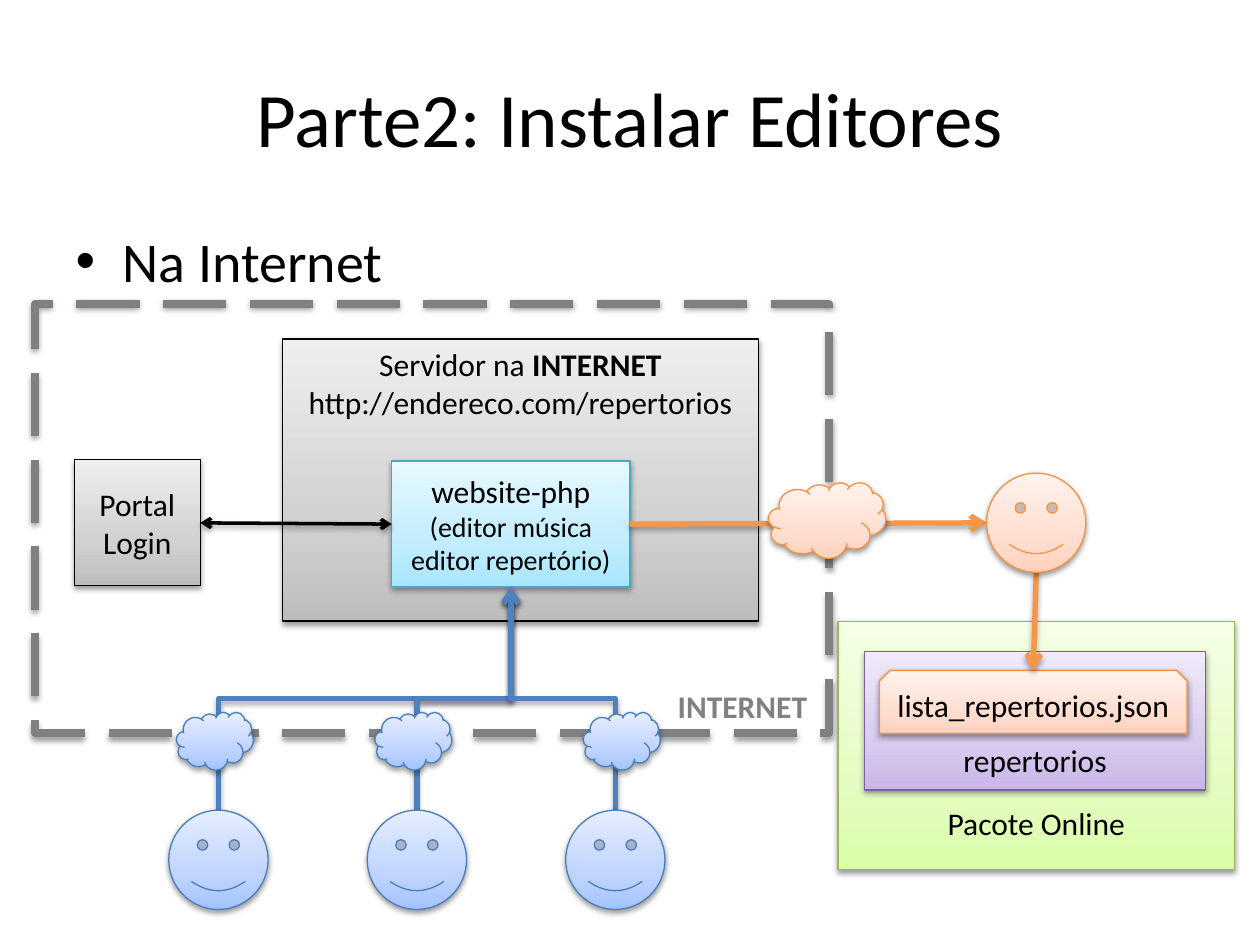
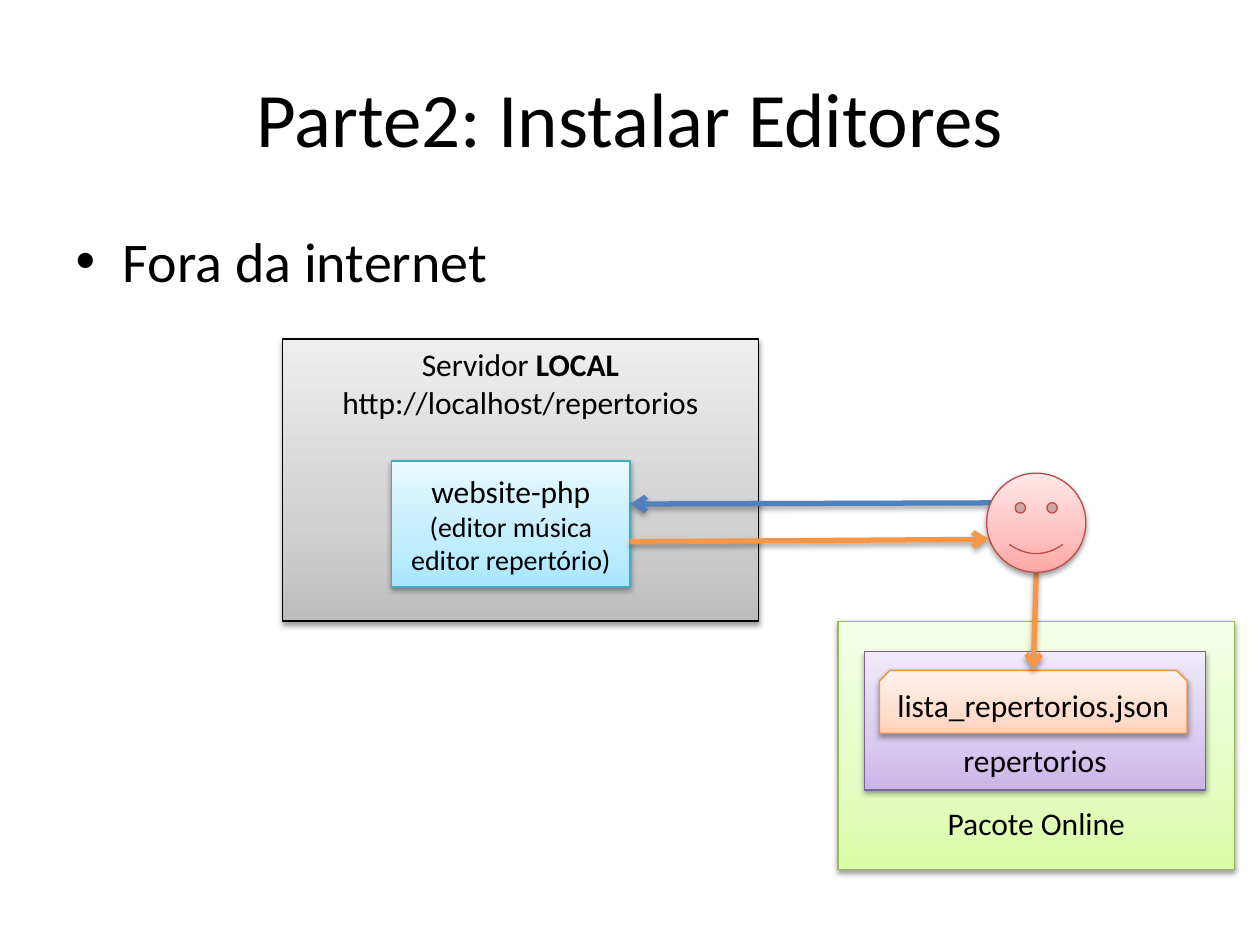
from copy import deepcopy

from pptx import Presentation
from pptx import util as u
from pptx.dml.color import RGBColor
from pptx.enum import dml, shapes, text
from pptx.oxml import ns
from lxml import etree

FONT = "Calibri"
COLORS = {"ink": "000000", "zone": "808080", "publish": "F79646", "edit": "4F81BD"}
PALETTES = {
    "green": ("98B955", "DAFDA7", "E4FCC2", "F5FFE7"),
    "purple": ("7D60A0", "C9B5E8", "D8CBEE", "F0EAF9"),
    "orange": ("F69240", "FFD2BD", "FFDED0", "FFF2ED"),
    "gray": ("000000", "BDBDBD", "D1D1D1", "EEEEEE"),
    "cyan": ("46AAC5", "A7E6FF", "C1EDFF", "E7F8FF"),
    "blue": ("4B7EBC", "A4C4FF", "BFD4FF", "E6EEFF"),
    "red": ("BF4C48", "FFA6A5", "FFC0BF", "FFE7E7"),
}
KIND = shapes.MSO_SHAPE
LINK = shapes.MSO_CONNECTOR
ANCHOR = text.MSO_ANCHOR
FACE = 56.7
TITLE_BOX = (36, 21.6, 648, 90)
TOPIC_BOX = (36, 126, 648, 356.4)
SERVER_BOX = (161.3, 193.7, 272.2, 161.3)
PACKAGE_BOX = (478.8, 355, 226.8, 141.8)
READER_BOX = (563.8, 270.4, FACE, FACE)
ZONE_BOX = (20.2, 173.5, 453.6, 245.5)
LOGIN_BOX = (42.5, 262.8, 72, 72)
USERS_BOX = (96.5, 463, 283.5, FACE)


def points(values):
    """Turn plain numbers into lengths in points."""
    return [u.Pt(value) for value in values]


def rgb(hex_color):
    """Read a hex string as a colour."""
    return RGBColor.from_string(hex_color)


def style_run(run, size, color="ink", bold=False):
    """Apply the shared font to one run."""
    run.font.name = FONT
    run.font.size = u.Pt(size)
    run.font.bold = bold
    run.font.color.rgb = rgb(COLORS[color])


def cast_shadow(part, alpha=38, distance=20000):
    """Give a shape or connector a soft shadow straight below it."""
    props = part._element.spPr
    effects = props.find(ns.qn("a:effectLst"))
    if effects is None:
        effects = etree.SubElement(props, ns.qn("a:effectLst"))
    shadow = etree.SubElement(effects, ns.qn("a:outerShdw"), blurRad="40000",
                              dist=str(distance), dir="5400000", rotWithShape="0")
    color = etree.SubElement(shadow, ns.qn("a:srgbClr"), val=COLORS["ink"])
    etree.SubElement(color, ns.qn("a:alpha"), val=str(alpha * 1000))


def add_block(slide, kind, box, palette):
    """Draw a shape with a three-stop gradient, thin outline and shadow."""
    outline, *tints = PALETTES[palette]
    block = slide.shapes.add_shape(kind, *points(box))
    block.fill.gradient()
    block.fill.gradient_angle = 90
    stops = block._element.spPr.find(".//" + ns.qn("a:gsLst"))
    stops.insert(1, deepcopy(stops[0]))
    for stop, position, tint in zip(block.fill.gradient_stops, (0, 0.35, 1), tints):
        stop.position = position
        stop.color.rgb = rgb(tint)
    block.line.color.rgb = rgb(outline)
    block.line.width = u.Pt(0.75)
    block.shadow.inherit = False
    cast_shadow(block)
    return block


def write(block, lines, anchor=ANCHOR.MIDDLE, bottom=3.6):
    """Write centred lines, each a list of (words, size, bold) runs."""
    frame = block.text_frame
    frame.word_wrap = True
    frame.vertical_anchor = anchor
    frame.margin_left = frame.margin_right = u.Pt(3.6)
    frame.margin_bottom = u.Pt(bottom)
    for index, line in enumerate(lines):
        paragraph = frame.paragraphs[0] if index == 0 else frame.add_paragraph()
        paragraph.alignment = text.PP_ALIGN.CENTER
        for words, size, bold in line:
            run = paragraph.add_run()
            run.text = words
            style_run(run, size, bold=bold)


def style_link(link, color, width=3, ends=("tailEnd",)):
    """Format a connector and put arrowheads on the given ends."""
    link.line.color.rgb = rgb(COLORS[color])
    link.line.width = u.Pt(width)
    outline = link._element.spPr.find(ns.qn("a:ln"))
    for end in ends:
        etree.SubElement(outline, ns.qn("a:" + end), type="arrow")
    cast_shadow(link, 35, 23000)


def add_arrow(slide, start, end, color, **style):
    """Draw a straight arrow between two places."""
    arrow = slide.shapes.add_connector(LINK.STRAIGHT, *points(start + end))
    style_link(arrow, color, **style)
    return arrow


def add_rising_elbow(slide, start, end, color):
    """Draw an elbow arrow that leaves upwards and arrives upwards."""
    (x1, y1), (x2, y2) = start, end
    middle_x, middle_y = (x1 + x2) / 2, (y1 + y2) / 2
    half_rise, half_run = (y1 - y2) / 2, (x2 - x1) / 2
    elbow = slide.shapes.add_connector(LINK.ELBOW, *points((
        middle_x - half_rise, middle_y - half_run,
        middle_x + half_rise, middle_y + half_run)))
    elbow._element.spPr.find(ns.qn("a:xfrm")).set("rot", "16200000")
    style_link(elbow, color)


def add_heading(slide, topic):
    """Fill the title and the single bullet."""
    contents = (("Parte2: Instalar Editores", TITLE_BOX, 44), (topic, TOPIC_BOX, 32))
    for holder, (words, box, size) in zip(slide.placeholders, contents):
        holder.left, holder.top, holder.width, holder.height = points(box)
        holder.text_frame.text = words
        style_run(holder.text_frame.paragraphs[0].runs[0], size)


def add_package(slide, box):
    """Draw the online package with its folder and list; return the list."""
    left, top, _, _ = box
    package = add_block(slide, KIND.RECTANGLE, box, "green")
    write(package, [[("Pacote Online", 18, False)]], ANCHOR.BOTTOM, 16)
    folder = add_block(slide, KIND.RECTANGLE, (left + 15.1, top + 17.3, 195.1, 79.2), "purple")
    write(folder, [[("repertorios", 18, False)]], ANCHOR.BOTTOM, 6.6)
    listing = add_block(slide, KIND.SNIP_2_SAME_RECTANGLE,
                        (left + 23.8, top + 28.1, 175.7, 36), "orange")
    write(listing, [[("lista_repertorios.json", 18, False)]])
    return listing


def add_server(slide, box, label, place, address):
    """Draw the server with the website in it; return the website."""
    left, top, _, _ = box
    server = add_block(slide, KIND.RECTANGLE, box, "gray")
    write(server, [[(label, 18, False), (place, 18, True)], [(address, 18, False)]], ANCHOR.TOP)
    website = add_block(slide, KIND.RECTANGLE, (left + 62.6, top + 69.8, 136.1, 72), "cyan")
    write(website, [[("website-php", 18, False)],
                    [("(editor música", 16, False)],
                    [("editor repertório)", 16, False)]])
    return website


def add_reader(slide, box, palette, listing):
    """Draw the person who receives the list, with the arrow down to it."""
    left, top, width, height = box
    delivery = add_arrow(slide, (left + width / 2, top + height), (left + width / 2, top + 112),
                         "publish")
    delivery.end_connect(listing, 0)
    add_block(slide, KIND.SMILEY_FACE, box, palette)


def add_zone(slide, box):
    """Draw the dashed border of the internet and its label."""
    left, top, _, _ = box
    zone = slide.shapes.add_shape(KIND.RECTANGLE, *points(box))
    zone.fill.background()
    zone.line.color.rgb = rgb(COLORS["zone"])
    zone.line.width = u.Pt(4.5)
    zone.line.dash_style = dml.MSO_LINE.LONG_DASH
    zone.shadow.inherit = False
    cast_shadow(zone)
    label = slide.shapes.add_textbox(*points((left + 360, top + 215.3, 89.3, 28.8)))
    label.text_frame.word_wrap = False
    label.text_frame.text = "INTERNET"
    style_run(label.text_frame.paragraphs[0].runs[0], 18, "zone", True)


def add_users(slide, box, target):
    """Draw three users who reach the target through their clouds."""
    left, top, width, size = box
    step = (width - size) / 2
    lefts = [left + step * index for index in range(3)]
    for user_left in lefts:
        add_rising_elbow(slide, (user_left + size / 2, top), target, "edit")
    for user_left, cloud_shift in zip(lefts, (4.3, 4.3, 10)):
        add_block(slide, KIND.SMILEY_FACE, (user_left, top, size, size), "blue")
        add_block(slide, KIND.CLOUD, (user_left + cloud_shift, top - 56, 44, 33), "blue")


def add_login(slide, box, website):
    """Draw the login service, joined both ways to the website."""
    left, top, width, height = box
    login = add_block(slide, KIND.RECTANGLE, box, "gray")
    write(login, [[("Portal", 18, False)], [("Login", 18, False)]])
    middle = (left + width, top + height / 2)
    exchange = add_arrow(slide, middle, middle, "ink", width=2, ends=("headEnd", "tailEnd"))
    exchange.begin_connect(website, 1)
    exchange.end_connect(login, 3)


def build_online(slide):
    """Build the slide on editing through the internet."""
    add_heading(slide, "Na Internet")
    add_zone(slide, ZONE_BOX)
    listing = add_package(slide, PACKAGE_BOX)
    website = add_server(slide, SERVER_BOX, "Servidor na ", "INTERNET",
                         "http://endereco.com/repertorios")
    reader_left, reader_top, _, _ = READER_BOX
    gate = (reader_left, reader_top + FACE / 2)
    publishing = add_arrow(slide, gate, gate, "publish")
    publishing.begin_connect(website, 3)
    add_block(slide, KIND.CLOUD, (439.2, 275.8, 67, 43.2), "orange")
    left, top, _, _ = SERVER_BOX
    add_users(slide, USERS_BOX, (left + 130.65, top + 141.8))
    add_reader(slide, READER_BOX, "orange", listing)
    add_login(slide, LOGIN_BOX, website)


def build_offline(slide):
    """Build the slide on editing with a local server."""
    add_heading(slide, "Fora da internet")
    listing = add_package(slide, PACKAGE_BOX)
    add_server(slide, SERVER_BOX, "Servidor ", "LOCAL", "http://localhost/repertorios")
    add_arrow(slide, (581, 287.3), (360, 288), "edit")
    add_reader(slide, READER_BOX, "red", listing)
    add_arrow(slide, (360, 309.6), (565.2, 308.2), "publish")


def main():
    """Build and save the presentation."""
    deck = Presentation()
    deck.slide_width, deck.slide_height = points((720, 540))
    for build in (build_online, build_offline):
        build(deck.slides.add_slide(deck.slide_layouts[1]))
    deck.save("out.pptx")


if __name__ == "__main__":
    main()
